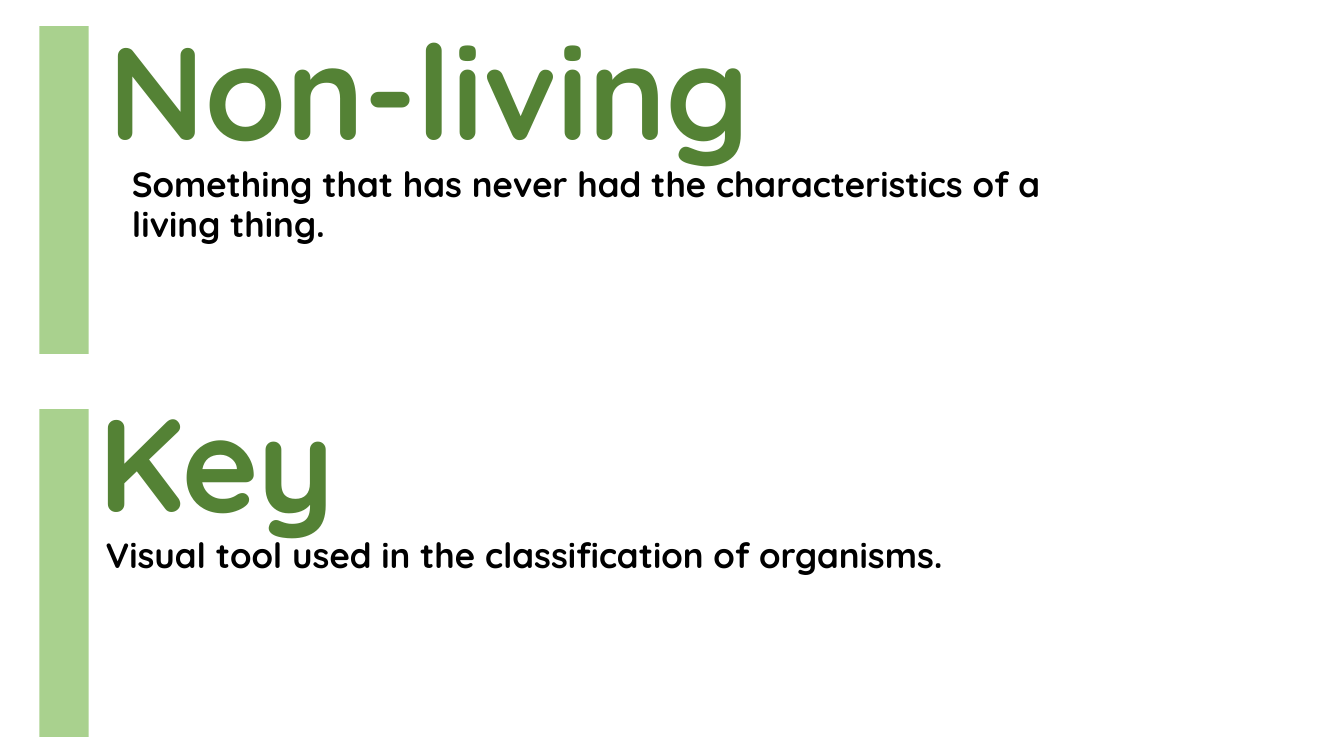
from pptx import Presentation
from pptx import util as u
from pptx.dml.color import RGBColor
from pptx.enum import shapes, text

LIGHT_GREEN = RGBColor(0xA9, 0xD1, 0x8E)
DARK_GREEN = RGBColor(0x54, 0x82, 0x35)
BLACK = RGBColor(0, 0, 0)

BAR_LEFT, BAR_WIDTH, BAR_HEIGHT = 28.1, 35.3, 234
TITLE_WIDTH, TITLE_HEIGHT = 690.5, 122.4
BODY_WIDTH, BODY_HEIGHT = 680.4, 157

# bar top, title (left, top), definition (left, top), term, definition
ENTRIES = [
    (18.7, (70.6, 1.4), (87.1, 114.5), "Non-living",
     "Something that has never had the characteristics of a living thing."),
    (292.3, (63.4, 267.1), (68.4, 379.4), "Key",
     "Visual tool used in the classification of organisms."),
]


class Glossary:
    font = {"name": "Quicksand", "bold": True}

    def __init__(self, slide):
        self.slide = slide

    def bar(self, left, top, width, height):
        sp = self.slide.shapes.add_shape(
            shapes.MSO_SHAPE.RECTANGLE, *map(u.Pt, (left, top, width, height)))
        sp.shadow.inherit = False
        sp.fill.solid()
        sp.fill.fore_color.rgb = LIGHT_GREEN
        sp.line.fill.background()

    def text(self, words, left, top, width, height, size, color, anchor, spacing):
        sp = self.slide.shapes.add_textbox(*map(u.Pt, (left, top, width, height)))
        tf = sp.text_frame
        tf.word_wrap = True
        tf.vertical_anchor = anchor
        p = tf.paragraphs[0]
        p.line_spacing = spacing
        r = p.add_run()
        r.text = words
        for name, value in {**self.font, "size": u.Pt(size)}.items():
            setattr(r.font, name, value)
        r.font.color.rgb = color

    def title(self, words, left, top):
        self.text(words, left, top, TITLE_WIDTH, TITLE_HEIGHT,
                  94, DARK_GREEN, text.MSO_ANCHOR.MIDDLE, 1.0)

    def definition(self, words, left, top):
        self.text(words, left, top, BODY_WIDTH, BODY_HEIGHT,
                  25, BLACK, text.MSO_ANCHOR.TOP, 0.95)


def main():
    prs = Presentation()
    prs.slide_width, prs.slide_height = u.Pt(960), u.Pt(540)
    s = Glossary(prs.slides.add_slide(prs.slide_layouts[6]))
    for bar_top, title_at, definition_at, term, meaning in ENTRIES:
        s.bar(BAR_LEFT, bar_top, BAR_WIDTH, BAR_HEIGHT)
        s.title(term, *title_at)
        s.definition(meaning, *definition_at)
    prs.save("out.pptx")


if __name__ == "__main__":
    main()
